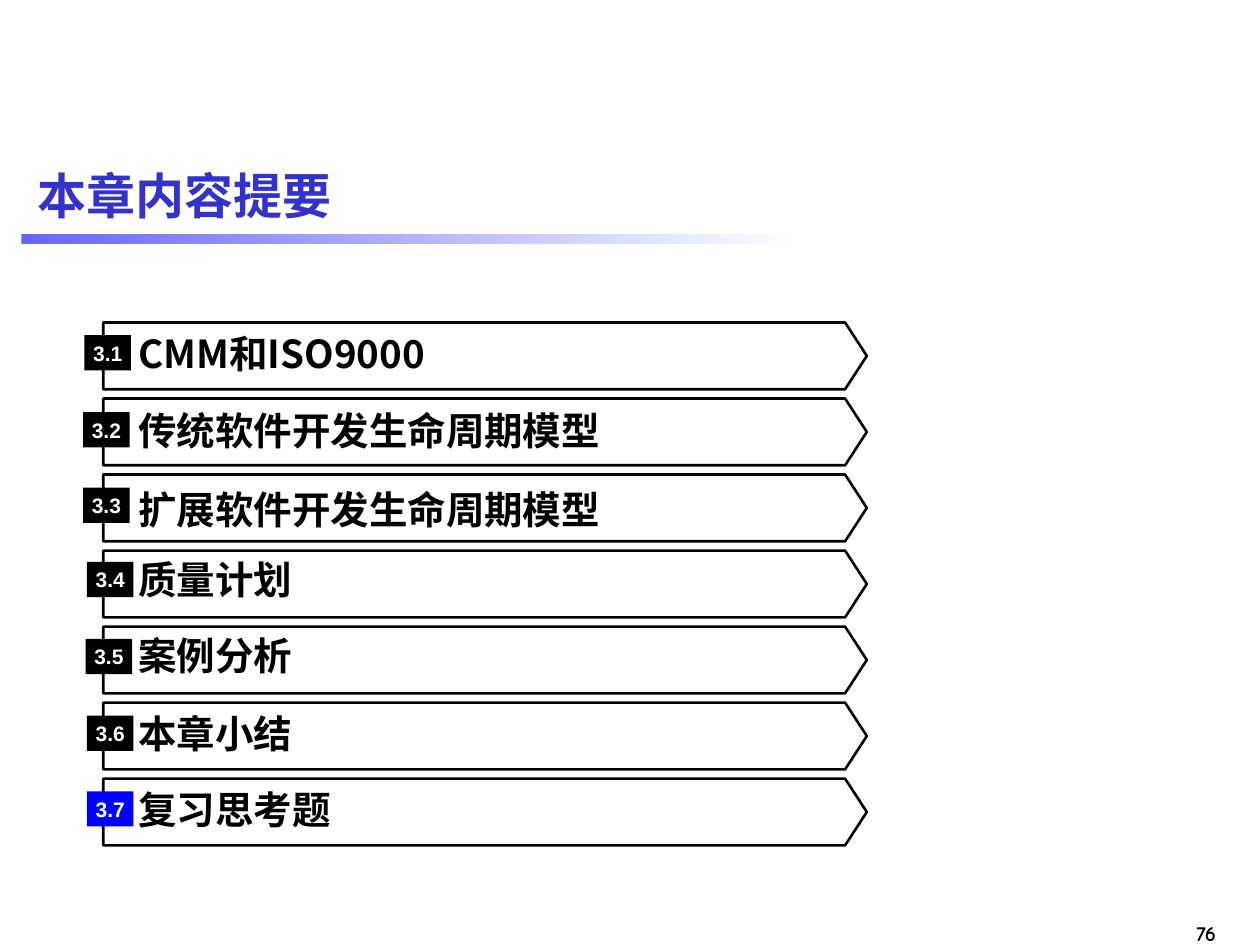
from lxml import etree
from pptx import Presentation
from pptx import util as u
from pptx.dml.color import RGBColor
from pptx.enum import shapes, text
from pptx.oxml import ns

BLACK = RGBColor(0x00, 0x00, 0x00)
WHITE = RGBColor(0xFF, 0xFF, 0xFF)
BLUE = RGBColor(0x00, 0x00, 0xFF)
TITLE_BLUE = RGBColor(0x33, 0x33, 0xCC)
BAR_BLUE = RGBColor(0x66, 0x66, 0xFF)
CJK = "Noto Sans CJK SC"
LEFT, CENTER, RIGHT = text.PP_ALIGN.LEFT, text.PP_ALIGN.CENTER, text.PP_ALIGN.RIGHT
FIRST_TOP, LAST_TOP = 2.56, 6.18

SECTIONS = [
    ("CMM和ISO9000", 2.6, 0.67, 2.66),
    ("传统软件开发生命周期模型", 3.21, 0.66, 3.27),
    ("扩展软件开发生命周期模型", 3.84, 0.66, 3.87),
    ("质量计划", 4.4, 0.69, 4.46),
    ("案例分析", 5.0, 0.68, 5.07),
    ("本章小结", 5.62, 0.69, 5.68),
    ("复习思考题", 6.22, 0.69, 6.28),
]


class Outline:
    """Chapter outline slide with its text and shape style."""

    def __init__(self, prs):
        self.s = prs.slides.add_slide(prs.slide_layouts[5])

    def add_text(self, sp, words, size, font, color, align=LEFT, inset=0.0):
        tf = sp.text_frame
        tf.vertical_anchor = text.MSO_ANCHOR.MIDDLE
        tf.margin_left = tf.margin_right = u.Inches(inset)
        tf.margin_top = tf.margin_bottom = u.Inches(inset / 2)
        p = tf.paragraphs[0]
        p.alignment = align
        r = p.add_run()
        r.text = words
        r.font.size, r.font.bold, r.font.name = u.Pt(size), True, font
        r.font.color.rgb = color
        ea = etree.SubElement(r._r.get_or_add_rPr(), ns.qn("a:ea"))
        ea.set("typeface", CJK)

    def title(self, words, *box):
        sp = self.s.shapes.title
        sp.left, sp.top, sp.width, sp.height = map(u.Inches, box)
        sp.text_frame.word_wrap = True
        self.add_text(sp, words, 28, "Arial", TITLE_BLUE, inset=0.1)

    def label(self, words, *box, size=22, font=CJK, align=LEFT, wrap=True):
        sp = self.s.shapes.add_textbox(*map(u.Inches, box))
        sp.text_frame.word_wrap = wrap
        self.add_text(sp, words, size, font, BLACK, align)

    def shape(self, kind, *box):
        sp = self.s.shapes.add_shape(kind, *map(u.Inches, box))
        sp.shadow.inherit = False
        sp.line.fill.background()
        return sp

    def bar(self, *box):
        fill = self.shape(shapes.MSO_SHAPE.RECTANGLE, *box).fill
        fill.gradient()
        fill.gradient_angle = 0
        for stop, color, place in zip(fill.gradient_stops, (BAR_BLUE, WHITE), (0, 1)):
            stop.color.rgb, stop.position = color, place

    def arrow(self, *box):
        sp = self.shape(shapes.MSO_SHAPE.PENTAGON, *box)
        sp.adjustments[0] = 0.325
        sp.fill.background()
        sp.line.color.rgb = BLACK
        sp.line.width = u.Pt(1.5)

    def badge(self, words, color, *box):
        sp = self.shape(shapes.MSO_SHAPE.RECTANGLE, *box)
        sp.fill.solid()
        sp.fill.fore_color.rgb = color
        self.add_text(sp, words, 12, "Arial", WHITE, CENTER)


def main():
    prs = Presentation()
    prs.slide_width, prs.slide_height = u.Inches(10), u.Inches(7.5)
    s = Outline(prs)
    s.label("76", 9.2, 7.26, 0.45, 0.3, size=12, font="Comic Neue", align=RIGHT, wrap=False)
    s.bar(0.17, 1.86, 6.17, 0.08)
    s.title("本章内容提要", 0.2, 1.15, 9.61, 0.79)
    last = len(SECTIONS) - 1
    pitch = (LAST_TOP - FIRST_TOP) / last
    for i, (words, label_top, badge_left, badge_top) in enumerate(SECTIONS):
        s.arrow(0.82, FIRST_TOP + i * pitch, 6.06, 0.53)
        s.label(words, 1.1, label_top, 5.38, 0.4)
        color = BLUE if i == last else BLACK
        s.badge(f"3.{i + 1}", color, badge_left, badge_top, 0.37, 0.28)
    prs.save("out.pptx")


if __name__ == "__main__":
    main()
